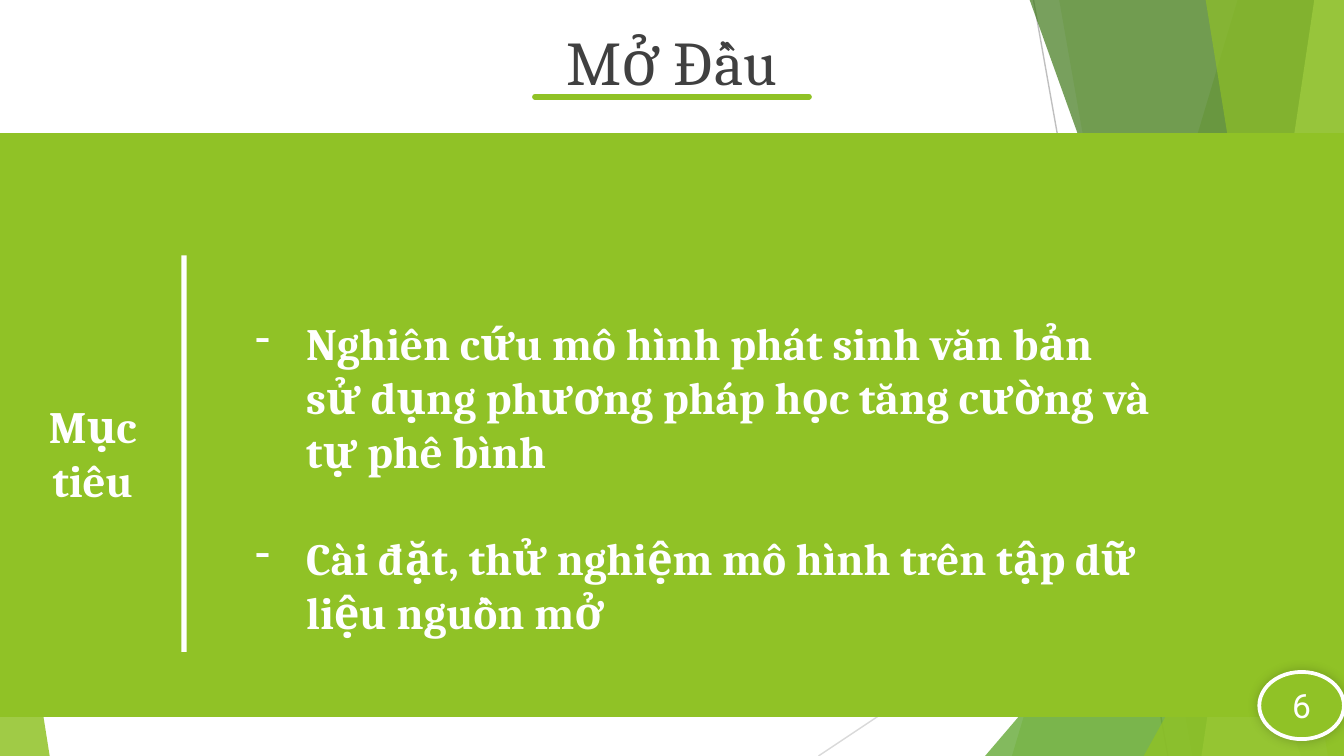
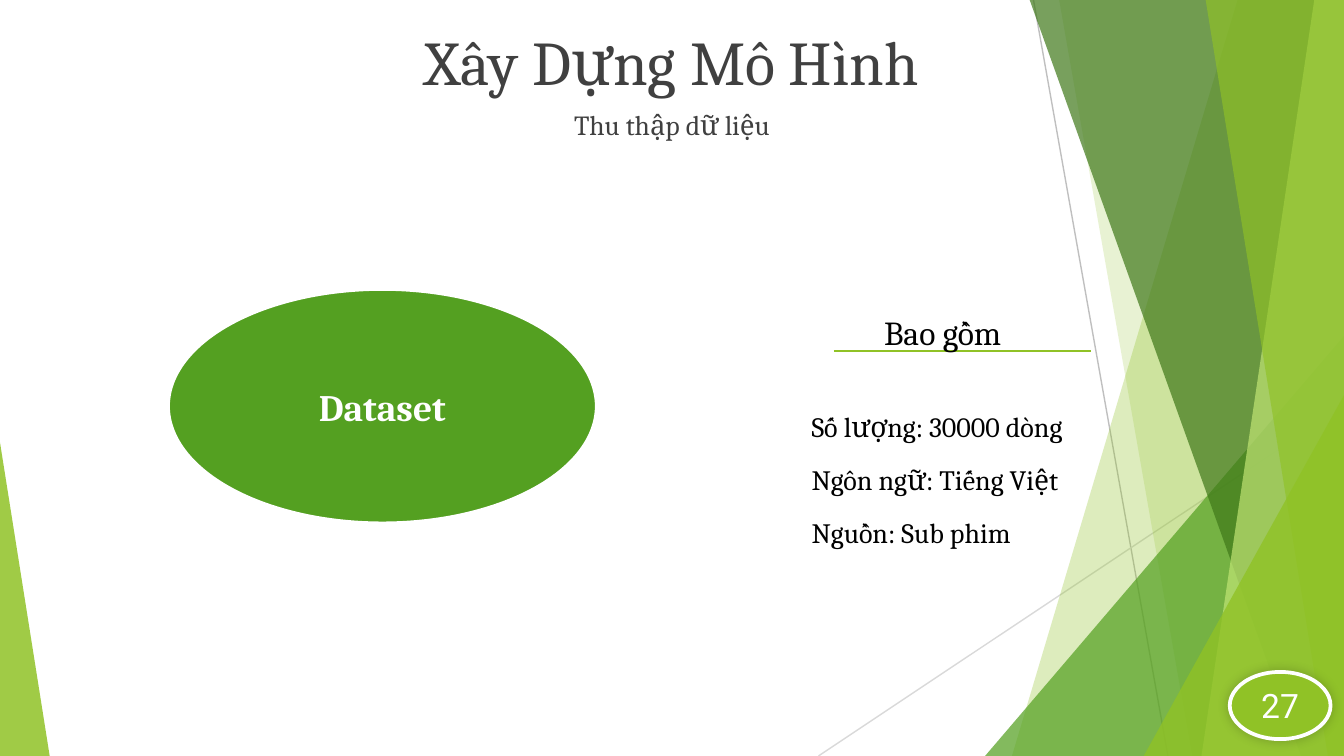
from dataclasses import dataclass

from lxml.etree import SubElement
from pptx import Presentation
from pptx.dml.color import RGBColor
from pptx.enum.shapes import MSO_CONNECTOR, MSO_SHAPE
from pptx.enum.text import MSO_ANCHOR as Anchor, PP_ALIGN as Align
from pptx.oxml.ns import qn
from pptx.util import Pt

PX = 4572  # EMU in one px; 200 px make an inch


@dataclass(frozen=True)
class Theme:
    lime: str = "90C226"
    green: str = "54A021"
    forest: str = "3F7819"
    pale: str = "C0E474"
    white: str = "FFFFFF"
    ink: str = "000000"
    heading: str = "404040"
    grey: str = "BFBFBF"
    light_grey: str = "D9D9D9"
    serif: str = "Cambria"
    sans: str = "Roboto"
    title_size: float = 33.3
    subtitle_size: float = 14.8
    goal_size: int = 24
    dataset_size: int = 20
    label_size: int = 18
    fact_size: int = 15


@dataclass(frozen=True)
class Box:
    x: int
    y: int
    w: int
    h: int

    def inner(self, dx, dy, w, h):
        """A box placed from this box's top left corner."""
        return Box(self.x + dx, self.y + dy, w, h)

    def emu(self):
        return [v * PX for v in (self.x, self.y, self.w, self.h)]


THEME = Theme()
PAGE = Box(0, 0, 2000, 1125)


def paint(shape, color, opacity=100, outline=None):
    shape.shadow.inherit = False
    shape.fill.solid()
    shape.fill.fore_color.rgb = RGBColor.from_string(color)
    if opacity < 100:
        tint = shape._element.spPr.find(qn("a:solidFill"))[0]
        SubElement(tint, qn("a:alpha"), val=str(opacity * 1000))
    if outline:
        shape.line.color.rgb = RGBColor.from_string(outline)
        shape.line.width = Pt(2)
    else:
        shape.line.fill.background()


def add_figure(slide, kind, box, color, opacity=100, outline=None):
    figure = slide.shapes.add_shape(kind, *box.emu())
    paint(figure, color, opacity, outline)
    return figure


def add_line(slide, start, end, color, width):
    line = slide.shapes.add_connector(
        MSO_CONNECTOR.STRAIGHT, *[v * PX for v in (*start, *end)])
    line.line.color.rgb = RGBColor.from_string(color)
    line.line.width = Pt(width)
    SubElement(line._element.spPr, qn("a:effectLst"))
    return line


def write(shape, lines, size, color, font=THEME.serif, bold=False,
          align=Align.LEFT, anchor=Anchor.TOP):
    frame = shape.text_frame
    frame.word_wrap = True
    frame.vertical_anchor = anchor
    frame.text = "\n".join(lines)
    for paragraph in frame.paragraphs:
        paragraph.alignment = align
        paragraph.font.name = font
        paragraph.font.size = Pt(size)
        paragraph.font.bold = bold
        paragraph.font.color.rgb = RGBColor.from_string(color)
    return frame


def add_text(slide, box, lines, size, color, **style):
    return write(slide.shapes.add_textbox(*box.emu()), lines, size, color, **style)


def facets(slide, box):
    """Translucent facets down the right side and in the lower left corner."""
    right, bottom = box.x + box.w, box.y + box.h

    def wedge(top_x, bottom_x, color, opacity):
        top = box.y - 1
        outline = slide.shapes.build_freeform(box.x + top_x, top, scale=PX)
        outline.add_line_segments(
            [(right, top), (right, bottom), (box.x + bottom_x, bottom)])
        paint(outline.convert_to_shape(), color, opacity)

    def corner(x, width, height, apex, color, opacity):
        place = box.inner(x, box.h - height, width, height)
        triangle = add_figure(
            slide, MSO_SHAPE.ISOSCELES_TRIANGLE, place, color, opacity)
        triangle.adjustments[0] = apex

    add_line(slide, (box.x + 1538, box.y), (box.x + 1738, bottom),
             THEME.grey, 0.75)
    add_line(slide, (right, box.y + 604), (box.x + 1218, bottom),
             THEME.light_grey, 0.75)
    wedge(1842, 1506, THEME.lime, 30)
    wedge(1576, 1774, THEME.lime, 20)
    corner(1466, 534, 625, 1, THEME.green, 72)
    wedge(1532, 1936, THEME.forest, 70)
    wedge(1956, 1788, THEME.pale, 70)
    wedge(1794, 1976, THEME.lime, 65)
    corner(1702, 298, 537, 1, THEME.lime, 80)
    corner(0, 74, 467, 0, THEME.lime, 85)


def heading(slide, box, text, size):
    frame = add_text(slide, box, [text], size, THEME.heading,
                     align=Align.CENTER, anchor=Anchor.MIDDLE)
    frame.paragraphs[0].space_before = Pt(7.5)


def page_badge(slide, box, number):
    badge = add_figure(slide, MSO_SHAPE.OVAL, box, THEME.lime, outline=THEME.white)
    effects = badge._element.spPr.find(qn("a:effectLst"))
    shadow = SubElement(effects, qn("a:outerShdw"), blurRad=str(Pt(6)),
                        dist="0", dir=str(315 * 60000))
    shade = SubElement(shadow, qn("a:srgbClr"), val=THEME.ink)
    SubElement(shade, qn("a:alpha"), val="20000")
    frame = write(badge, [str(number)], THEME.label_size, THEME.white,
                  font=THEME.sans, align=Align.CENTER, anchor=Anchor.MIDDLE)
    frame.margin_left = frame.margin_right = 0


def goals_band(slide, box, label, goals):
    add_figure(slide, MSO_SHAPE.RECTANGLE, box, THEME.lime)
    add_text(slide, box.inner(-4, 386, 284, 182), label, THEME.goal_size,
             THEME.white, bold=True, align=Align.CENTER)
    add_figure(slide, MSO_SHAPE.RECTANGLE, box.inner(270, 182, 8, 590), THEME.white)
    frame = add_text(slide, box.inner(360, 262, 1370, 504), goals,
                     THEME.goal_size, THEME.white, bold=True)
    for goal in frame.paragraphs:
        goal.space_after = Pt(29)
        props = goal._p.get_or_add_pPr()
        props.set("marL", str(76 * PX))
        props.set("indent", str(-76 * PX))
        SubElement(props, qn("a:buFontTx"))
        SubElement(props, qn("a:buChar"), char="-")
        props.append(props.find(qn("a:defRPr")))


def dataset_facts(slide, box, caption, facts):
    rule_y = box.y + 68
    add_line(slide, (box.x + 53, rule_y), (box.x + 435, rule_y), THEME.lime, 1)
    add_text(slide, box.inner(108, 0, 346, 80), [caption],
             THEME.label_size, THEME.ink)
    for i, fact in enumerate(facts):
        add_text(slide, box.inner(0, 146 + i * 79, 440, 70), [fact],
                 THEME.fact_size, THEME.ink)


def new_slide(deck, title):
    slide = deck.slides.add_slide(deck.slide_layouts[6])
    facets(slide, PAGE)
    heading(slide, PAGE.inner(0, 28, PAGE.w, 126), title, THEME.title_size)
    return slide


def goals_slide(deck):
    slide = new_slide(deck, "Mở Đầu")
    goals_band(slide, PAGE.inner(0, 198, PAGE.w, 869), ["Mục", "tiêu"], [
        "Nghiên cứu mô hình phát sinh văn bản sử dụng phương pháp học "
        "tăng cường và tự phê bình",
        "Cài đặt, thử nghiệm mô hình trên tập dữ liệu nguồn mở",
    ])
    underline = add_line(slide, (796, 144), (1204, 144), THEME.lime, 3)
    underline.line._get_or_add_ln().set("cap", "rnd")
    page_badge(slide, PAGE.inner(1874, 1000, 126, 100), 6)


def dataset_slide(deck):
    slide = new_slide(deck, "Xây Dựng Mô Hình")
    heading(slide, PAGE.inner(0, 154, PAGE.w, 62), "Thu thập dữ liệu",
            THEME.subtitle_size)
    dataset = add_figure(slide, MSO_SHAPE.OVAL, PAGE.inner(250, 430, 638, 349),
                         THEME.green, outline=THEME.white)
    write(dataset, ["Dataset"], THEME.dataset_size, THEME.white, bold=True,
          align=Align.CENTER, anchor=Anchor.MIDDLE)
    dataset_facts(slide, PAGE.inner(1188, 454, 562, 374), "Bao gồm", [
        "Số lượng: 30000 dòng", "Ngôn ngữ: Tiếng Việt", "Nguồn: Sub phim"])
    page_badge(slide, PAGE.inner(1830, 1000, 150, 100), 27)


def main():
    deck = Presentation()
    deck.slide_width, deck.slide_height = PAGE.w * PX, PAGE.h * PX
    goals_slide(deck)
    dataset_slide(deck)
    deck.save("out.pptx")


if __name__ == "__main__":
    main()
